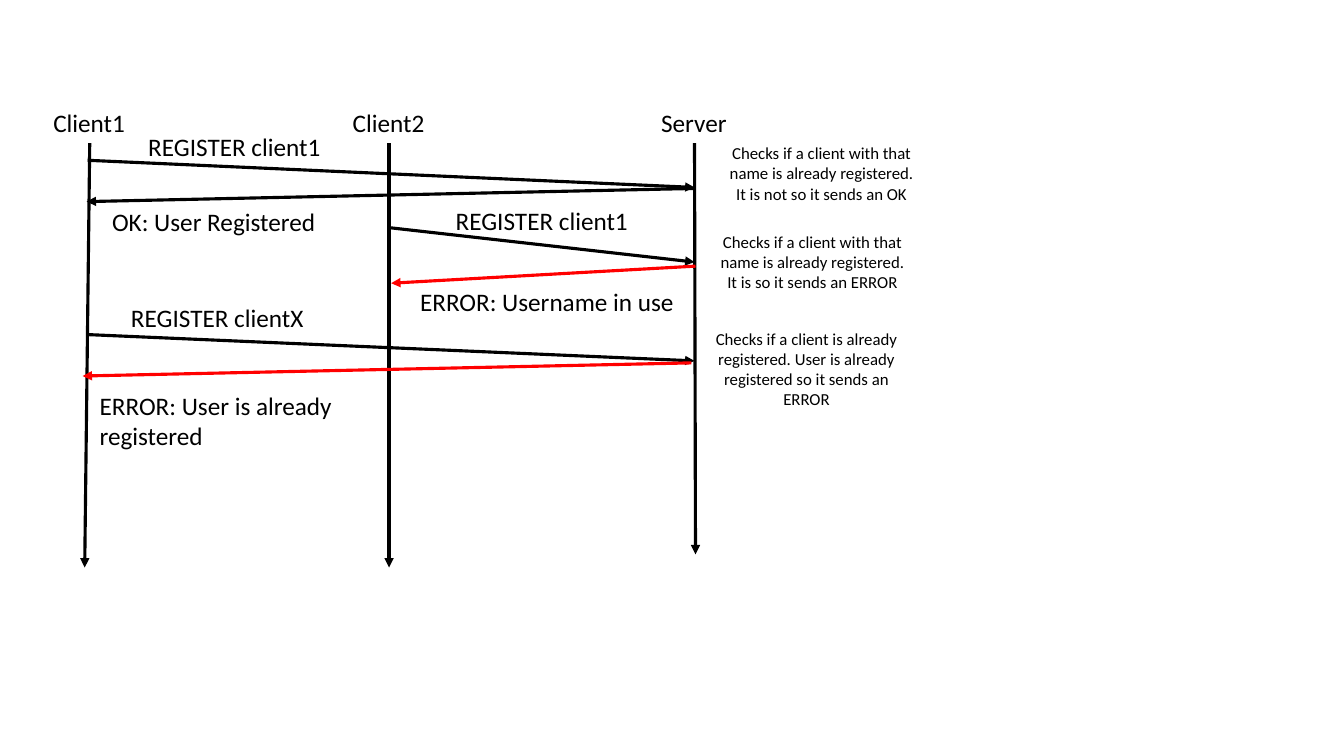
from pptx import Presentation
from pptx.dml.color import RGBColor
from pptx.enum import shapes, text
from pptx.oxml import ns
from pptx.util import Pt
from lxml import etree

BLACK, RED = "000000", "FF0000"
CENTER, LEFT = text.PP_ALIGN.CENTER, text.PP_ALIGN.LEFT


def color(hex_string):
    return RGBColor.from_string(hex_string)


def set_attributes(target, values):
    for name, value in values.items():
        setattr(target, name, value)


class SequenceDiagram:
    """Holds the style and the slide; all lengths are in points."""

    font = "Calibri"
    line_width = 2.25

    def __init__(self, slide):
        self.slide = slide

    def label(self, content, left, top, width, height=29, size=18,
              alignment=CENTER, wrap=True):
        shape = self.slide.shapes.add_textbox(Pt(left), Pt(top), Pt(width), Pt(height))
        frame = shape.text_frame
        set_attributes(frame, {"word_wrap": wrap,
                               "auto_size": text.MSO_AUTO_SIZE.SHAPE_TO_FIT_TEXT})
        paragraph = frame.paragraphs[0]
        paragraph.alignment = alignment
        run = paragraph.add_run()
        run.text = content
        set_attributes(run.font, {"name": self.font, "size": Pt(size)})
        run.font.color.rgb = color(BLACK)

    def note(self, content, left, top, height=51):
        self.label(content, left, top, 150, height, size=12)

    def arrow(self, start, end, line_color=BLACK):
        connector = self.slide.shapes.add_connector(
            shapes.MSO_CONNECTOR.STRAIGHT, *map(Pt, start + end))
        connector.line.width = Pt(self.line_width)
        connector.line.color.rgb = color(line_color)
        etree.SubElement(connector.line._get_or_add_ln(), ns.qn("a:tailEnd"), type="triangle")
        etree.SubElement(connector._element.spPr, ns.qn("a:effectLst"))


def main():
    presentation = Presentation()
    set_attributes(presentation, {"slide_width": Pt(960), "slide_height": Pt(540)})
    diagram = SequenceDiagram(presentation.slides.add_slide(presentation.slide_layouts[6]))

    participants = [
        ("Client1", 28, 71.3, (64.1, 102.3), (60.5, 405.4)),
        ("Client2", 236.9, 81.4, (277.9, 102.3), (277.9, 405.4)),
        ("Server", 455, 81.4, (496.1, 102.3), (496.8, 396)),
    ]
    for name, left, width, start, end in participants:
        diagram.label(name, left, 73.4, width)
        diagram.arrow(start, end)

    messages = [
        ((62.6, 114.5), (496.1, 133.9), BLACK),
        ((496.8, 134.6), (61.9, 144), BLACK),
        ((278.6, 162.7), (496.1, 187.2), BLACK),
        ((496.8, 190.1), (279.4, 202.3), RED),
        ((62.6, 239), (496.1, 257.8), BLACK),
        ((493.9, 259.2), (59, 268.6), RED),
    ]
    for start, end, line_color in messages:
        diagram.arrow(start, end, line_color)

    requests = [
        ("REGISTER client1", 72, 90.3),
        ("REGISTER client1", 291.6, 143.3),
        ("REGISTER clientX", 59.8, 212.4),
    ]
    for content, left, top in requests:
        diagram.label(content, left, top, 190.8)

    diagram.label("OK: User Registered", 72, 144, 161.3, wrap=False)
    diagram.label("ERROR: Username in use", 293, 200.9, 198.7, alignment=LEFT)
    diagram.label("ERROR: User is already registered", 64.1, 275, 213.8, 51, alignment=LEFT)

    diagram.note("Checks if a client with that name is already registered. "
                 "It is not so it sends an OK", 511.9, 98.6)
    diagram.note("Checks if a client with that name is already registered. "
                 "It is so it sends an ERROR", 505.4, 162)
    diagram.note("Checks if a client is already registered. "
                 "User is already registered so it sends an ERROR", 501.1, 231.1, 65.5)

    presentation.save("out.pptx")


if __name__ == "__main__":
    main()
